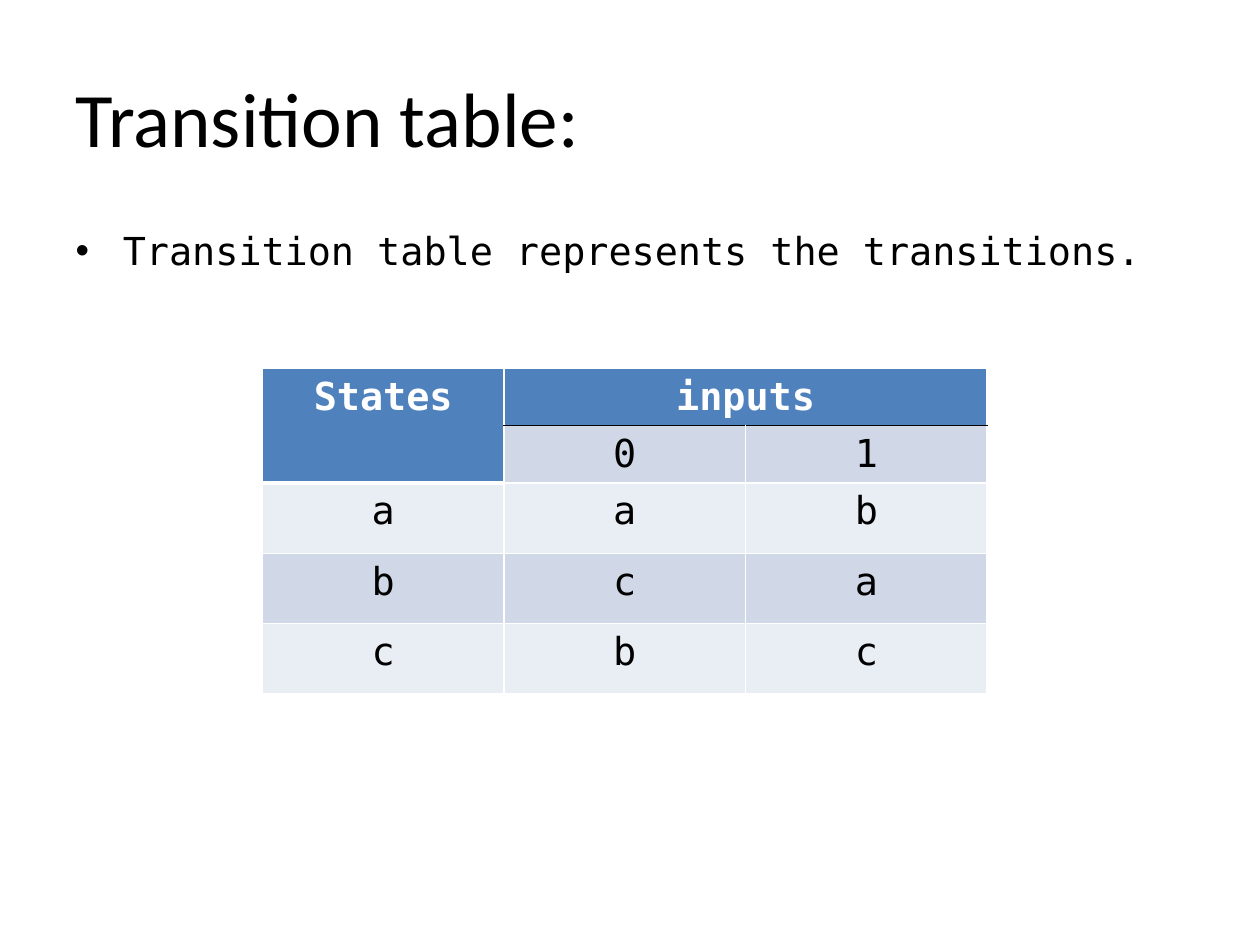
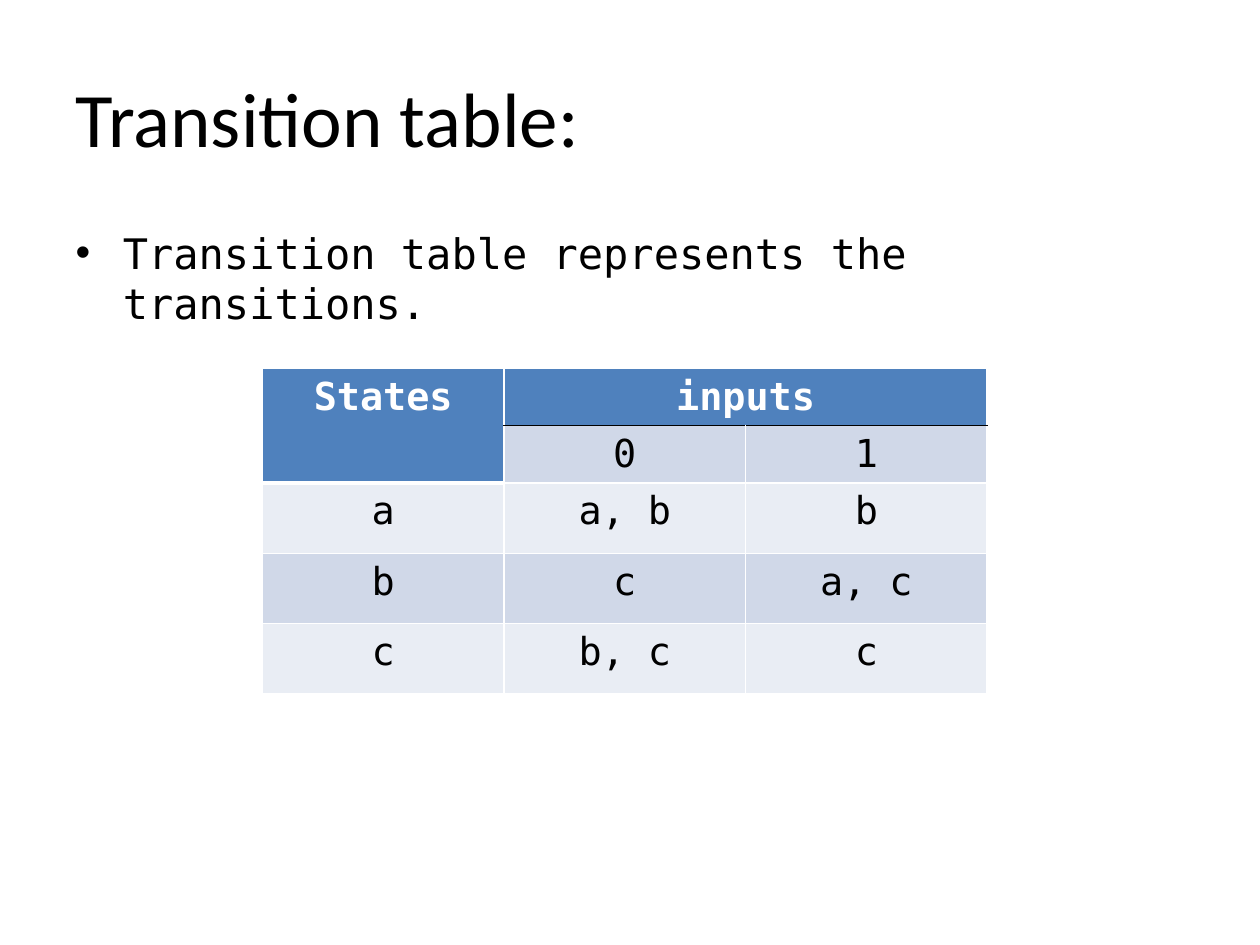
from lxml.etree import SubElement
from pptx import Presentation
from pptx.dml.color import RGBColor
from pptx.enum.text import MSO_ANCHOR, PP_ALIGN
from pptx.oxml.ns import qn
from pptx.util import Cm, Pt

# Content
TITLE = "Transition table:"
BULLET = "Transition table represents the transitions."
HEADER = [("States", "inputs", ""), ("", "0", "1")]
PAGES = [
    {"bullet_size": 22, "states": [("a", "a", "b"), ("b", "c", "a"), ("c", "b", "c")]},
    {"bullet_size": 24, "states": [("a", "a, b", "b"), ("b", "c", "a, c"), ("c", "b, c", "c")]},
]

# Shared style
COLORS = {"text": "000000", "light": "FFFFFF", "header": "4F81BD",
          "band": "D0D8E8", "pale": "E9EDF4"}
TITLE_FONT, BODY_FONT = "Calibri", "DejaVu Sans Mono"
TITLE_BOX = (Cm(1.27), Cm(0.76), Cm(22.86), Cm(3.18))
BODY_BOX = (Cm(1.27), Cm(4.45), Cm(22.86), Cm(12.57))
TABLE_BOX = (Cm(5.29), Cm(7.42), Cm(14.61), Cm(6.65))
HEADER_ROW, STATE_ROW = Cm(0.71), Cm(1.42)


def write(frame, text, size, font=BODY_FONT, color="text", bold=False, align=PP_ALIGN.LEFT):
    para = frame.paragraphs[0]
    para.alignment = align
    span = para.add_run()
    span.text = text
    span.font.name, span.font.size, span.font.bold = font, Pt(size), bold
    span.font.color.rgb = RGBColor.from_string(COLORS[color])


def place(box, bounds):
    box.left, box.top, box.width, box.height = bounds


def is_header(row, column):
    return row == 0 or (row == 1 and column == 0)


def line_below(row, column):
    """Colour and width of the line under a cell."""
    if row == 0 and column > 0:
        return "text", 1
    if row == 1 and column == 0:
        return "light", 3
    return "light", 1


def draw_borders(cell, row, column):
    sides = {"lnL": ("light", 1), "lnR": ("light", 1),
             "lnT": line_below(row - 1, column), "lnB": line_below(row, column)}
    properties = cell._tc.get_or_add_tcPr()
    for tag, (color, width) in sides.items():
        line = SubElement(properties, qn(f"a:{tag}"), w=str(Pt(width)))
        fill = SubElement(line, qn("a:solidFill"))
        SubElement(fill, qn("a:srgbClr"), val=COLORS[color])


def add_transition_table(page, states):
    rows = HEADER + states
    frame = page.shapes.add_table(len(rows), 3, *TABLE_BOX)
    table = frame.table
    for row, texts in enumerate(rows):
        table.rows[row].height = HEADER_ROW if row < len(HEADER) else STATE_ROW
        for column, text in enumerate(texts):
            cell = table.cell(row, column)
            header = is_header(row, column)
            draw_borders(cell, row, column)
            cell.fill.solid()
            fill = "header" if header else "band" if row % 2 else "pale"
            cell.fill.fore_color.rgb = RGBColor.from_string(COLORS[fill])
            if text:
                write(cell.text_frame, text, 22, color="light" if header else "text",
                      bold=header, align=PP_ALIGN.CENTER)
    # "States" spans both header rows, "inputs" both input columns
    table.cell(0, 0).merge(table.cell(1, 0))
    table.cell(0, 1).merge(table.cell(0, 2))
    frame.height = TABLE_BOX[3]


def add_page(deck, bullet_size, states):
    page = deck.slides.add_slide(deck.slide_layouts[1])
    title, body = page.shapes.title, page.placeholders[1]
    place(title, TITLE_BOX)
    title.text_frame.vertical_anchor = MSO_ANCHOR.MIDDLE
    write(title.text_frame, TITLE, 44, font=TITLE_FONT)
    place(body, BODY_BOX)
    write(body.text_frame, BULLET, bullet_size)
    add_transition_table(page, states)


def main():
    deck = Presentation()
    deck.slide_width, deck.slide_height = Cm(25.4), Cm(19.05)
    for content in PAGES:
        add_page(deck, **content)
    deck.save("out.pptx")


if __name__ == "__main__":
    main()
